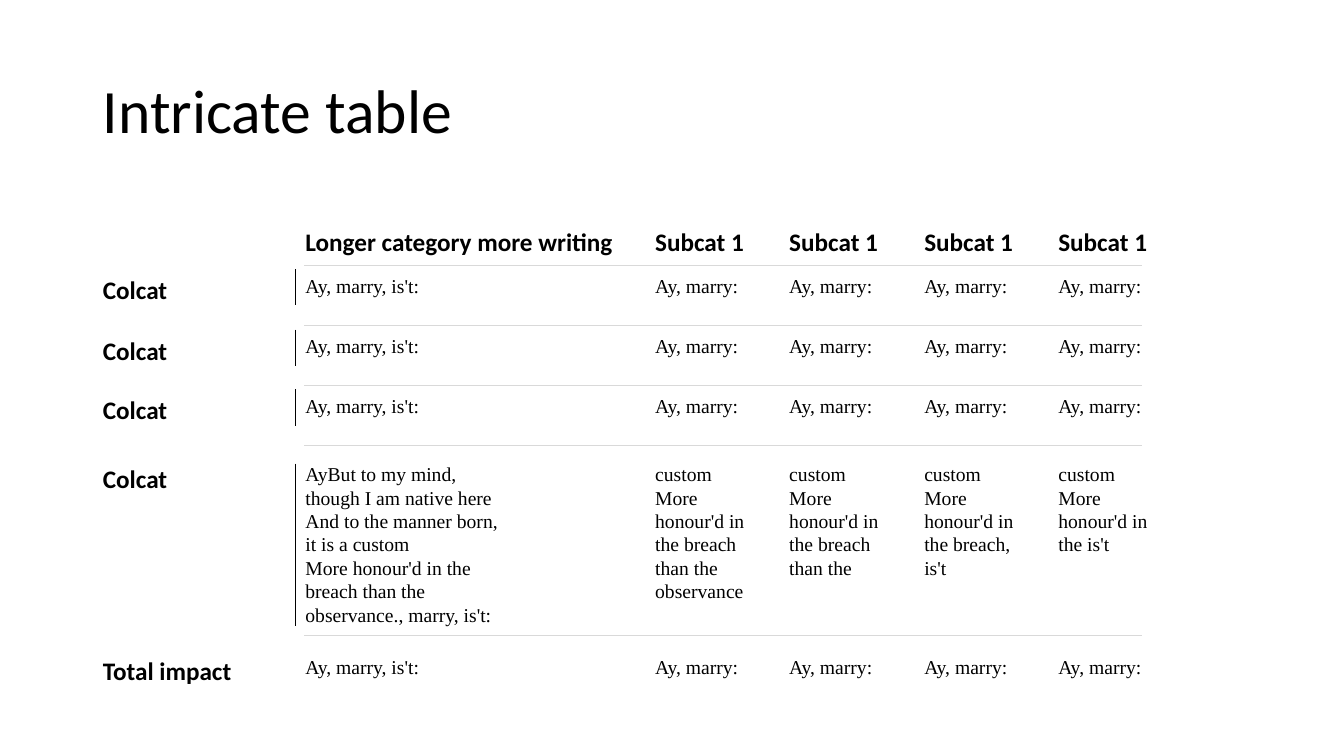
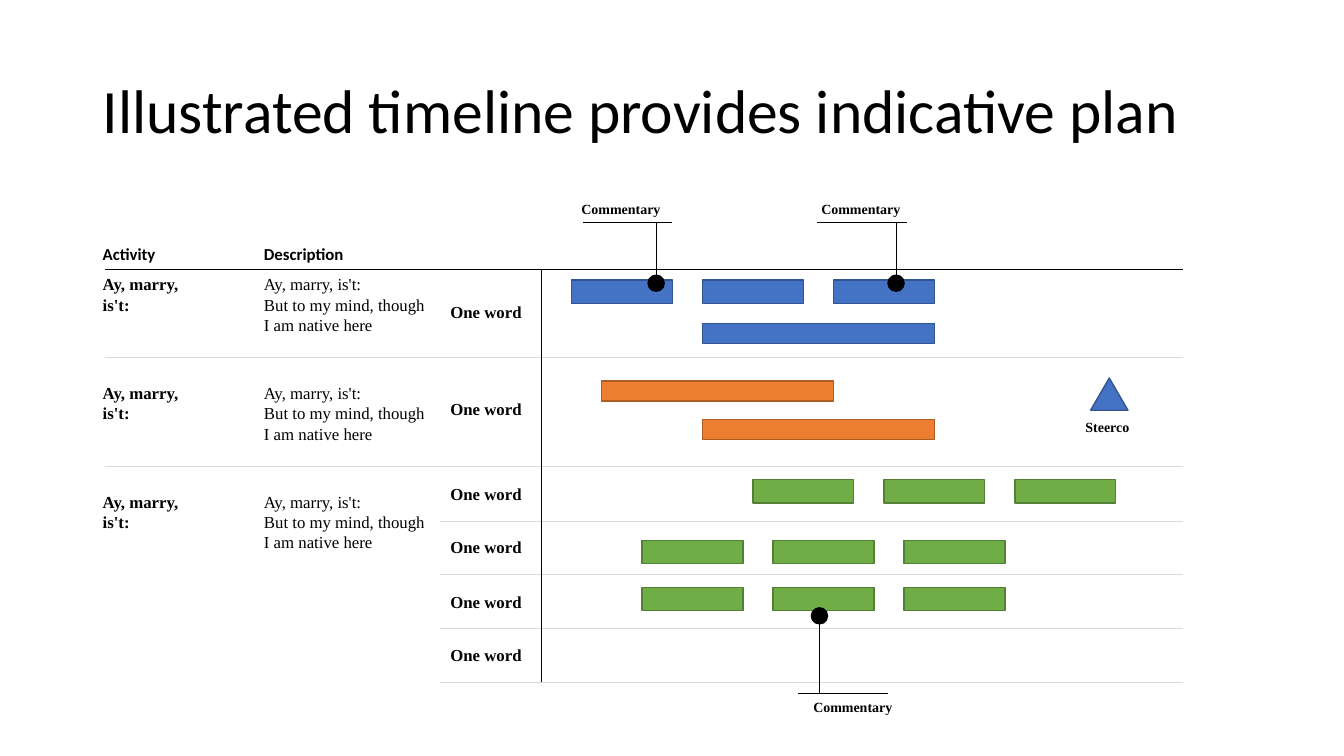
"""Builds a two-slide deck: an intricate table and an illustrated timeline."""
import pptx
import pptx.dml.color
import pptx.enum.shapes
import pptx.enum.text
import pptx.oxml.ns
import pptx.util
from lxml import etree

Inches = pptx.util.Inches
Pt = pptx.util.Pt
qn = pptx.oxml.ns.qn
SHAPES = pptx.enum.shapes.MSO_SHAPE
ANCHOR = pptx.enum.text.MSO_ANCHOR

COLORS = {
    "black": "000000", "rule": "D9D9D9",
    "blue": "4472C4", "blue_edge": "325491",
    "orange": "ED7D31", "orange_edge": "AF5C24",
    "green": "70AD47", "green_edge": "538035",
}
SANS, SERIF = "Calibri", "Times New Roman"
NO_STYLE = "{2D5ABB26-0587-4C30-8999-92F81FD0307C}"

TABLE_TITLE = "Intricate table"
SHORT_ROW = ["Ay, marry, is't:"] + ["Ay, marry:"] * 4
TABLE_ROWS = [
    ["", "Longer category more writing"] + ["Subcat 1"] * 4,
    ["Colcat"] + SHORT_ROW,
    ["Colcat"] + SHORT_ROW,
    ["Colcat"] + SHORT_ROW,
    ["Colcat",
     "AyBut to my mind, though I am native here\n"
     "And to the manner born, it is a custom\n"
     "More honour'd in the breach than the observance., marry, is't:",
     "custom\nMore honour'd in the breach than the observance",
     "custom\nMore honour'd in the breach than the",
     "custom\nMore honour'd in the breach, is't",
     "custom\nMore honour'd in the is't"],
    ["Total impact"] + SHORT_ROW,
]
ROW_EDGES = [2.19, 2.63, 3.23, 3.82, 4.42, 6.3, 6.85]
ROW_PADS = [0.05, 0.09, 0.09, 0.09, 0.17, 0.2]
COL_EDGES = [0.92, 3.02, 6.4, 7.73, 9.07, 10.4, 11.42]
COL_PADS = [(0.1, 0.1), (0.01, 1.36)] + [(0.1, 0.32)] * 3 + [(0.1, 0)]
ROW_TICKS = [(2.67, 3.03), (3.27, 3.63), (3.86, 4.23), (4.6, 6.21)]
TICK_X, RULE_LEFT, RULE_RIGHT = 2.93, 3.02, 11.33

PLAN_TITLE = "Illustrated timeline provides indicative plan"
PLAN_HEADERS = [(0.92, "Activity"), (2.52, "Description")]
ACTIVITY = "Ay, marry, is't:"
DESCRIPTION = "Ay, marry, is't:\nBut to my mind, though I am native here"
ACTIVITY_TOPS = [2.67, 3.75, 4.83]
LANE_NAME = "One word"
LANE_TOPS = [2.94, 3.91, 4.75, 5.28, 5.82, 6.35]
PLAN_TOP, PLAN_BOTTOM, PLAN_RIGHT = 2.67, 6.77, 11.74
ACTIVITY_RULES = [3.55, 4.63]
LANE_RULES = [5.17, 5.7, 6.23, PLAN_BOTTOM]
ACTIVITY_LEFT, LANE_LEFT, CHART_LEFT = 1.04, 4.37, 5.37
SHORT_BAR, LONG_BAR, BAR_STEP = (1, 0.23), (2.3, 0.2), 1.3
BARS = [
    ("blue", 5.67, 2.78, SHORT_BAR, 3),
    ("blue", 6.97, 3.21, LONG_BAR, 1),
    ("orange", 5.97, 3.78, LONG_BAR, 1),
    ("orange", 6.97, 4.16, LONG_BAR, 1),
    ("green", 7.47, 4.76, SHORT_BAR, 3),
    ("green", 6.37, 5.36, SHORT_BAR, 3),
    ("green", 6.37, 5.83, SHORT_BAR, 3),
]
CALLOUT = "Commentary"
CALLOUTS = [
    {"x": 6.51, "dot": 2.81, "rule": (5.78, 2.21), "text": (5.67, 1.94)},
    {"x": 8.89, "dot": 2.81, "rule": (8.11, 2.21), "text": (8.05, 1.94)},
    {"x": 8.13, "dot": 6.11, "rule": (7.92, 6.88), "text": (7.97, 6.88)},
]
CALLOUT_WIDTH, DOT = 0.89, 0.16
MILESTONE = "Steerco"


def rgb(name):
    return pptx.dml.color.RGBColor.from_string(COLORS[name])


def write(tf, text, size, font, bold=False, spacing=None):
    tf.text = text
    tf.word_wrap = True
    for p in tf.paragraphs:
        p.line_spacing = spacing
        for r in p.runs:
            r.font.size = Pt(size)
            r.font.name = font
            r.font.bold = bold
            r.font.color.rgb = rgb("black")


def add_slide(prs, title):
    s = prs.slides.add_slide(prs.slide_layouts[5])
    sp = s.shapes.title
    sp.left, sp.top = Inches(0.92), Inches(0.4)
    sp.width, sp.height = Inches(11.5), Inches(1.45)
    tf = sp.text_frame
    write(tf, title, 44, SANS, spacing=0.9)
    tf.vertical_anchor = ANCHOR.MIDDLE
    tf.paragraphs[0].alignment = pptx.enum.text.PP_ALIGN.LEFT
    return s


def add_text(s, x, y, w, h, text, size=12, font=SERIF, bold=True):
    sp = s.shapes.add_textbox(Inches(x), Inches(y), Inches(w), Inches(h))
    write(sp.text_frame, text, size, font, bold)


def add_line(s, x1, y1, x2, y2, color="black"):
    line = s.shapes.add_connector(
        pptx.enum.shapes.MSO_CONNECTOR.STRAIGHT,
        Inches(x1), Inches(y1), Inches(x2), Inches(y2))
    line.line.color.rgb = rgb(color)
    line.line.width = Pt(0.5)
    etree.SubElement(line._element.spPr, qn("a:effectLst"))


def add_shape(s, kind, x, y, w, h, fill, edge):
    sp = s.shapes.add_shape(kind, Inches(x), Inches(y), Inches(w), Inches(h))
    sp.shadow.inherit = False
    sp.fill.solid()
    sp.fill.fore_color.rgb = rgb(fill)
    sp.line.color.rgb = rgb(edge)
    sp.line.width = Pt(1)


def sizes(edges):
    return [b - a for a, b in zip(edges, edges[1:])]


def build_table(prs):
    s = add_slide(prs, TABLE_TITLE)
    widths, heights = sizes(COL_EDGES), sizes(ROW_EDGES)
    table = s.shapes.add_table(
        len(heights), len(widths), Inches(COL_EDGES[0]), Inches(ROW_EDGES[0]),
        Inches(sum(widths)), Inches(sum(heights))).table
    table.first_row = table.horz_banding = False
    table._tbl.tblPr.find(qn("a:tableStyleId")).text = NO_STYLE
    for col, width in zip(table.columns, widths):
        col.width = Inches(width)
    for i, texts in enumerate(TABLE_ROWS):
        table.rows[i].height = Inches(heights[i])
        for j, text in enumerate(texts):
            cell = table.cell(i, j)
            heading = i == 0 or j == 0
            left, right = COL_PADS[j]
            cell.margin_left = Inches(left)
            cell.margin_right = Inches(min(right, 0.1) if heading else right)
            cell.margin_top = Inches(ROW_PADS[i])
            cell.margin_bottom = Inches(0.02)
            cell.vertical_anchor = ANCHOR.TOP
            cell.fill.background()
            if heading:
                write(cell.text_frame, text, 18, SANS, True, 1.05)
            else:
                write(cell.text_frame, text, 14, SERIF, False, 1.08)
    for y in ROW_EDGES[1:-1]:
        add_line(s, RULE_LEFT, y, RULE_RIGHT, y, "rule")
    for top, bottom in ROW_TICKS:
        add_line(s, TICK_X, top, TICK_X, bottom)


def add_callout(s, x, dot, rule, text):
    rule_left, rule_top = rule
    add_line(s, x, rule_top, x, dot)
    add_line(s, rule_left, rule_top, rule_left + CALLOUT_WIDTH, rule_top)
    add_text(s, *text, 1, 0.27, CALLOUT, 10)
    add_shape(s, SHAPES.OVAL, x - DOT / 2, dot - DOT / 2, DOT, DOT,
              "black", "black")


def build_plan(prs):
    s = add_slide(prs, PLAN_TITLE)
    for x, header in PLAN_HEADERS:
        add_text(s, x, 2.37, 1, 0.3, header, font=SANS)
    for top in ACTIVITY_TOPS:
        add_text(s, 0.92, top, 1.12, 0.5, ACTIVITY)
        add_text(s, 2.52, top, 1.85, 0.71, DESCRIPTION, bold=False)
    for top in LANE_TOPS:
        add_text(s, LANE_LEFT, top, 1, 0.3, LANE_NAME)
    for left, rules in ((ACTIVITY_LEFT, ACTIVITY_RULES), (LANE_LEFT, LANE_RULES)):
        for y in rules:
            add_line(s, left, y, PLAN_RIGHT, y, "rule")
    add_line(s, ACTIVITY_LEFT, PLAN_TOP, PLAN_RIGHT, PLAN_TOP)
    add_line(s, CHART_LEFT, PLAN_TOP, CHART_LEFT, PLAN_BOTTOM)
    for color, x, y, (w, h), count in BARS:
        for i in range(count):
            add_shape(s, SHAPES.RECTANGLE, x + i * BAR_STEP, y, w, h,
                      color, color + "_edge")
    for callout in CALLOUTS:
        add_callout(s, **callout)
    add_shape(s, SHAPES.ISOSCELES_TRIANGLE, 10.82, 3.75, 0.37, 0.32,
              "blue", "blue_edge")
    add_text(s, 10.67, 4.1, 0.69, 0.27, MILESTONE, 10)


def main():
    prs = pptx.Presentation()
    prs.slide_width, prs.slide_height = Inches(40 / 3), Inches(7.5)
    build_table(prs)
    build_plan(prs)
    prs.save("out.pptx")


if __name__ == "__main__":
    main()
